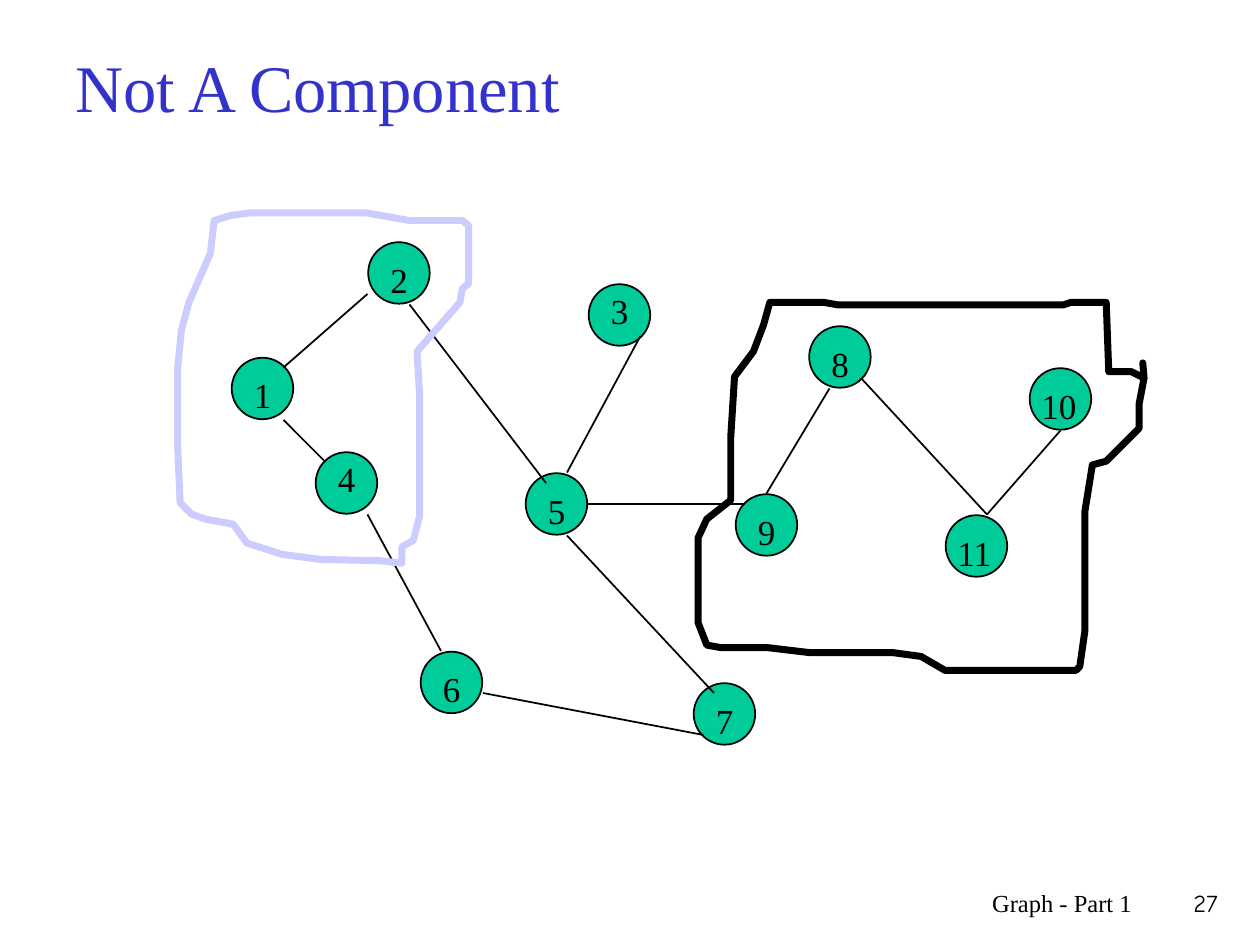
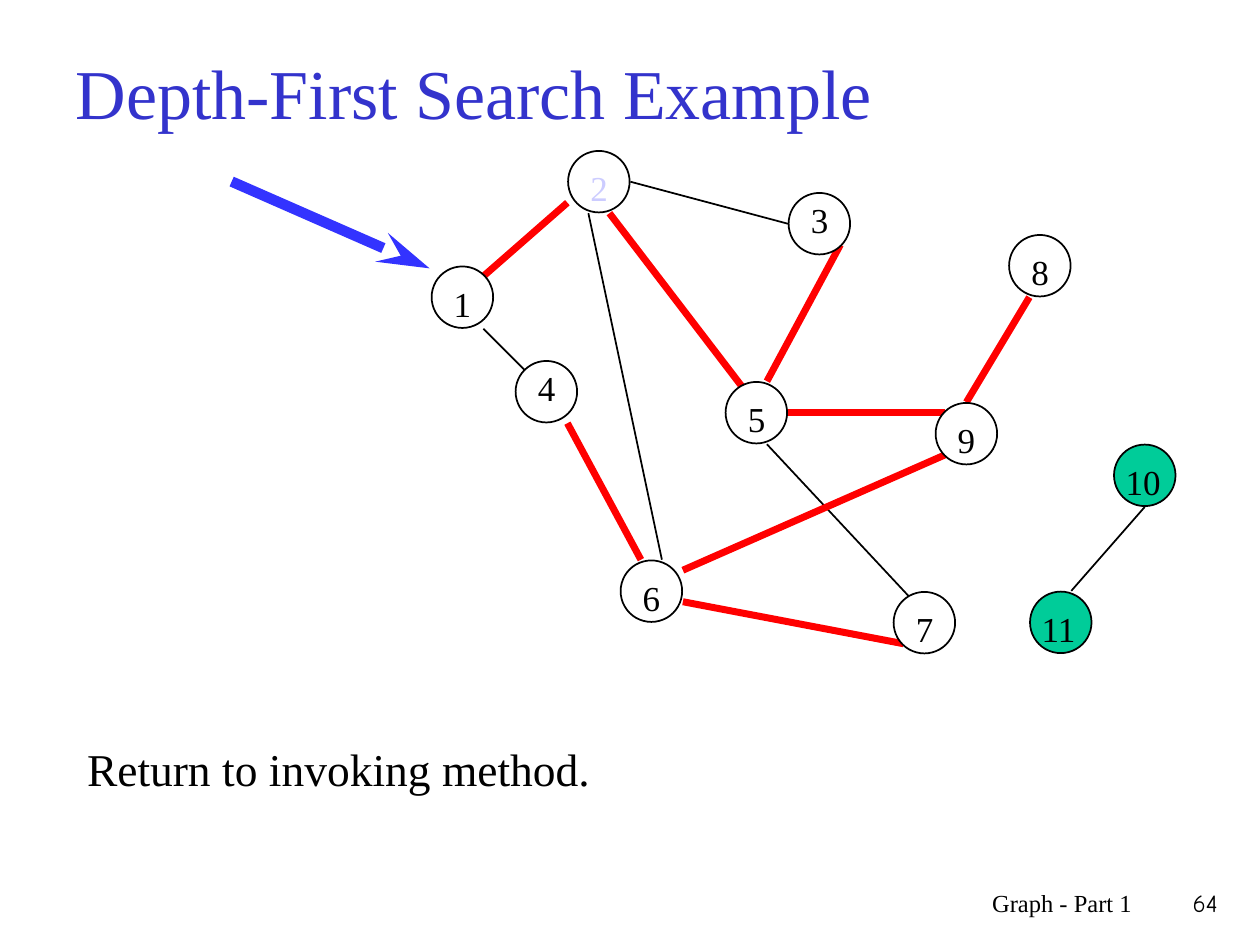
"""Builds two graph slides: a non-component and a depth-first search example."""
from itertools import chain

from lxml import etree
from pptx import Presentation
from pptx.dml.color import RGBColor
from pptx.enum.shapes import MSO_CONNECTOR, MSO_SHAPE
from pptx.enum.text import MSO_ANCHOR, MSO_AUTO_SIZE, PP_ALIGN
from pptx.oxml.ns import qn
from pptx.util import Cm, Pt

OVAL, STRAIGHT = MSO_SHAPE.OVAL, MSO_CONNECTOR.STRAIGHT
TOP, MIDDLE, NO_FIT = MSO_ANCHOR.TOP, MSO_ANCHOR.MIDDLE, MSO_AUTO_SIZE.NONE
LEFT, RIGHT = PP_ALIGN.LEFT, PP_ALIGN.RIGHT

SERIF, COMIC = "Times New Roman", "Comic Neue"
BLACK, WHITE, GREEN, RED = "000000", "FFFFFF", "00CC99", "FF0000"
TITLE_BLUE, ARROW_BLUE, LAVENDER = "3333CC", "3333FF", "CCCCFF"
THIN, BOLD, ARROW_WIDTH = 1, 4, 6

GRID_STEP = Cm(2.54) / 12
PEN_STEP = Cm(2.54) / 100
CELL = 6 * GRID_STEP
NODE = Cm(1.24)
NODE_INSET = (CELL - NODE) / 2
LABEL_HEIGHT = Cm(1.09)
FOOTER = "Graph - Part 1"

NODE_CELLS = {
    1: (22, 34), 2: (35, 23), 3: (56, 27), 4: (30, 43), 5: (50, 45), 6: (40, 62),
    7: (66, 65), 8: (77, 31), 9: (70, 47), 10: (98, 35), 11: (90, 49),
}
LABEL_WIDTHS = {10: Cm(1.27), 11: Cm(2.11)}
RAISED_LABELS = (3, 4)

EDGE_PORTS = {
    (1, 2): ((5, 1), (0, 5)), (1, 4): ((5, 6), (1, 1)), (2, 3): ((6, 3), (0, 3)),
    (2, 5): ((4, 6), (2, 1)), (2, 6): ((2, 6), (4, 0)), (3, 5): ((5, 5), (4, 0)),
    (4, 6): ((5, 6), (2, 0)), (5, 7): ((4, 6), (2, 1)), (5, 9): ((6, 3), (1, 3)),
    (6, 7): ((6, 4), (1, 5)), (6, 9): ((6, 1), (1, 5)), (8, 9): ((2, 6), (3, 0)),
    (8, 11): ((5, 5), (4, 0)), (10, 11): ((3, 6), (4, 0)),
}
EDGE_PORTS[5, 9] = ((6, 3), (1, 1))

SEARCH_ONLY_EDGES = [(2, 3), (2, 6), (6, 9)]
COMPONENT_EDGES = [pair for pair in EDGE_PORTS if pair not in SEARCH_ONLY_EDGES]
SEARCH_TREE = [(1, 2), (2, 5), (5, 9), (8, 9), (6, 9), (4, 6), (6, 7), (3, 5)]
VISITED, UNVISITED = range(1, 10), (10, 11)
UNUSED_EDGES = [pair for pair in EDGE_PORTS
                if set(pair) <= set(VISITED) and pair not in SEARCH_TREE]

NO_SHIFT = (0, 0)
VISITED_SHIFT = (Cm(4.03), Cm(-1.84))
UNVISITED_SHIFT = (Cm(1.7), Cm(1.54))

LEFT_REGION = {
    "top": [(170, 175), (183, 171), (198, 169), (291, 169), (325, 175), (367, 175)],
    "right": [(372, 179), (372, 225), (367, 229), (365, 240), (331, 279), (333, 312),
              (333, 410), (328, 429)],
    "bottom": [(319, 434), (319, 447), (302, 445), (254, 444), (224, 440), (196, 431),
               (185, 416), (163, 412)],
    "left": [(152, 408), (143, 399), (141, 355), (141, 292), (144, 262), (150, 240),
             (167, 201)],
}
RIGHT_REGION = {
    "top": [(611, 240), (654, 240), (665, 242), (844, 242), (850, 240), (878, 240)],
    "right": [(880, 295), (898, 295), (908, 300), (907, 288), (908, 300), (904, 321),
              (904, 340), (878, 366), (867, 369), (861, 406), (861, 501), (857, 529)],
    "bottom": [(854, 532), (750, 532), (731, 521), (709, 518), (643, 518), (609, 514),
               (572, 514), (561, 512)],
    "left": [(554, 494), (554, 427), (561, 412), (580, 397), (580, 347), (583, 299),
             (598, 279), (606, 258)],
}


def rgb(value):
    return RGBColor.from_string(value)


def set_line(shape, color, width):
    shape.line.color.rgb = rgb(color)
    shape.line.width = Pt(width)


def add_line_detail(shape, tag, **attributes):
    outline = shape.line._get_or_add_ln()
    etree.SubElement(outline, qn(tag), **attributes)


def place(shape, left, top, width, height):
    shape.left, shape.top, shape.width, shape.height = left, top, width, height


def write(shape, text, size, color=BLACK, font=SERIF, align=LEFT, anchor=TOP):
    frame = shape.text_frame
    frame.text = text
    frame.word_wrap = True
    frame.auto_size = NO_FIT
    frame.vertical_anchor = anchor
    paragraph = frame.paragraphs[0]
    paragraph.alignment = align
    paragraph.space_before = Pt(0)
    paragraph.font.size = Pt(size)
    paragraph.font.name = font
    paragraph.font.color.rgb = rgb(color)
    return paragraph


def add_text(page, left, top, width, height, text, size, **style):
    box = page.shapes.add_textbox(int(left), int(top), width, height)
    write(box, text, size, **style)


def add_page(deck, layout, title, title_size, title_height, number):
    page = deck.slides.add_slide(deck.slide_layouts[layout])
    place(page.shapes.title, Cm(1.27), Cm(0.76), Cm(22.86), title_height)
    write(page.shapes.title, title, title_size, TITLE_BLUE, anchor=MIDDLE)
    add_text(page, Cm(15.02), Cm(17.78), Cm(8.05), Cm(1.27), FOOTER, 14, align=RIGHT)
    add_text(page, Cm(23.07), Cm(17.78), Cm(1.73), Cm(1.27), number, 14,
             font=COMIC, align=RIGHT)
    return page


def grid_point(name, shift, port=(0, 0)):
    """Slide position of a port, counted in grid steps from the corner of a node's cell."""
    return [(cell + offset) * GRID_STEP + move
            for cell, offset, move in zip(NODE_CELLS[name], port, shift)]


def add_line(page, start, end, color, width):
    ends = (int(value) for value in chain(start, end))
    line = page.shapes.add_connector(STRAIGHT, *ends)
    set_line(line, color, width)
    etree.SubElement(line._element.spPr, qn("a:effectLst"))
    return line


def add_edges(page, pairs, shift, color=BLACK, width=THIN):
    for pair in pairs:
        start, end = (grid_point(name, shift, port)
                      for name, port in zip(pair, EDGE_PORTS[pair]))
        add_line(page, start, end, color, width)


def add_nodes(page, names, shift, fill, current=None):
    for name in names:
        left, top = grid_point(name, shift)
        node = page.shapes.add_shape(OVAL, int(left + NODE_INSET), int(top + NODE_INSET),
                                     NODE, NODE)
        node.shadow.inherit = False
        node.fill.solid()
        node.fill.fore_color.rgb = rgb(fill)
        set_line(node, BLACK, THIN)

        label_port = (int(name not in LABEL_WIDTHS), int(name not in RAISED_LABELS))
        add_text(page, *grid_point(name, shift, label_port),
                 LABEL_WIDTHS.get(name, Cm(0.64)), LABEL_HEIGHT, str(name), 20,
                 color=LAVENDER if name == current else BLACK)


def add_region(page, sides, color):
    start, *corners = chain.from_iterable(sides.values())
    builder = page.shapes.build_freeform(*start, scale=PEN_STEP)
    builder.add_line_segments(corners, close=True)
    region = builder.convert_to_shape()
    region.shadow.inherit = False
    region.fill.background()
    set_line(region, color, BOLD)
    add_line_detail(region, "a:round")


def add_component_page(deck):
    page = add_page(deck, 5, "Not A Component", 38, Cm(1.96), "27")
    add_nodes(page, NODE_CELLS, NO_SHIFT, GREEN)
    add_edges(page, COMPONENT_EDGES, NO_SHIFT)
    add_region(page, LEFT_REGION, LAVENDER)
    add_region(page, RIGHT_REGION, BLACK)


def add_search_page(deck):
    page = add_page(deck, 1, "Depth-First Search Example", 40, Cm(2.16), "64")
    add_edges(page, UNUSED_EDGES, VISITED_SHIFT)
    add_edges(page, SEARCH_TREE, VISITED_SHIFT, RED, BOLD)
    add_nodes(page, VISITED, VISITED_SHIFT, WHITE, current=2)
    add_nodes(page, UNVISITED, UNVISITED_SHIFT, GREEN)
    add_edges(page, [UNVISITED], UNVISITED_SHIFT)

    arrow = add_line(page, (Cm(4.67), Cm(3.66)), (Cm(8.66), Cm(5.41)),
                     ARROW_BLUE, ARROW_WIDTH)
    add_line_detail(arrow, "a:tailEnd", type="stealth", w="med", len="lg")

    body = page.placeholders[1]
    place(body, Cm(1.5), Cm(14.94), Cm(22.02), Cm(1.07))
    paragraph = write(body, "Return to invoking method.", 26)
    paragraph.line_spacing = 0.9
    properties = paragraph._p.get_or_add_pPr()
    properties.set("marL", "0")
    properties.set("indent", "0")
    bullet = etree.Element(qn("a:buNone"))
    properties.find(qn("a:defRPr")).addprevious(bullet)


def main():
    deck = Presentation()
    deck.slide_width, deck.slide_height = Cm(25.4), Cm(19.05)
    add_component_page(deck)
    add_search_page(deck)
    deck.save("out.pptx")


if __name__ == "__main__":
    main()
